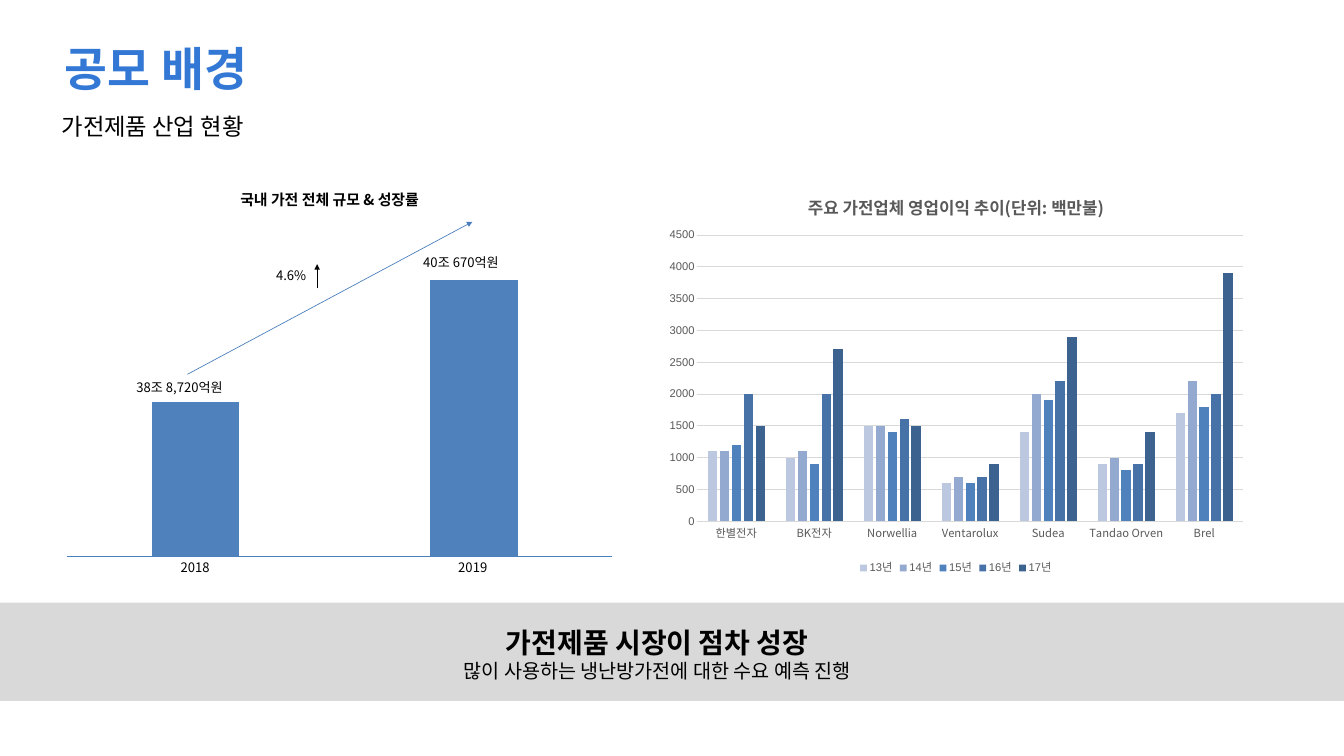
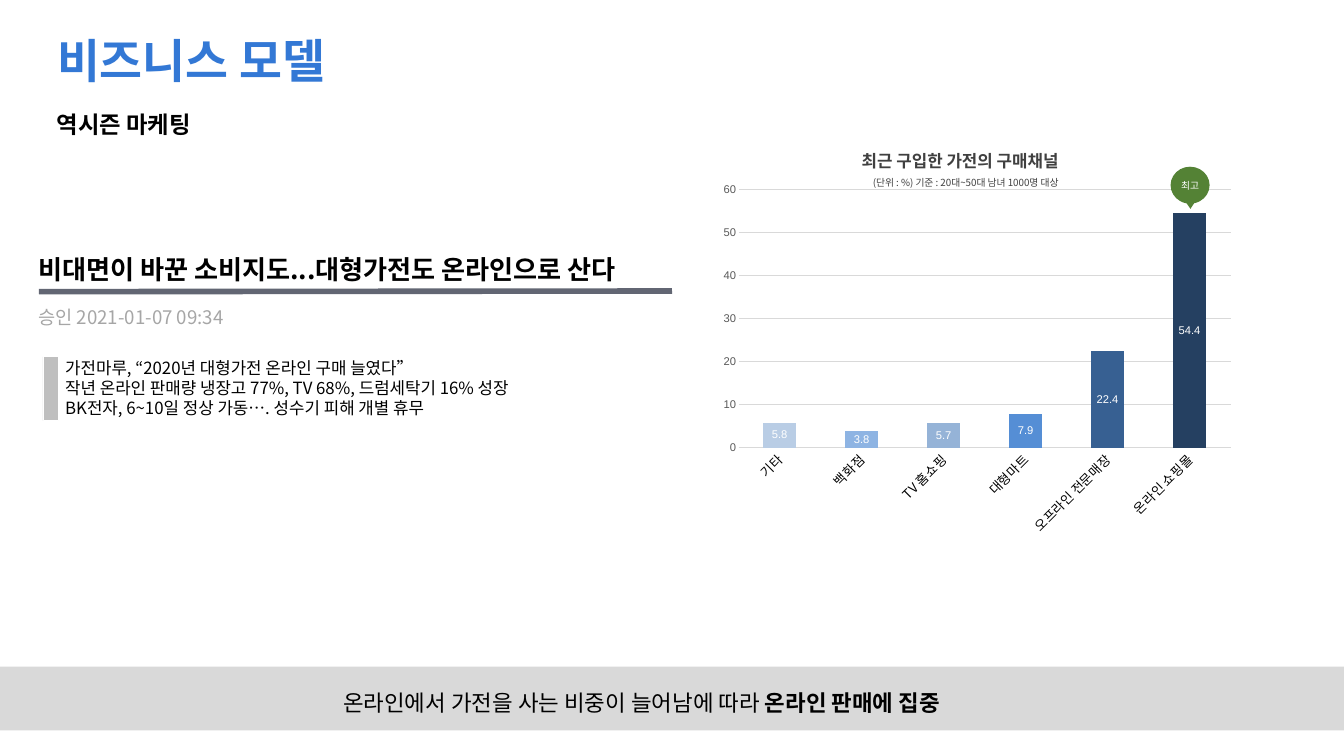
"""Build two slides on the home appliance market and the online sales model."""
from dataclasses import dataclass

from lxml.etree import SubElement
from pptx import Presentation
from pptx.chart.data import CategoryChartData as ChartData
from pptx.dml.color import RGBColor
from pptx.enum.chart import XL_CHART_TYPE as ChartType, XL_LABEL_POSITION as LabelPos
from pptx.enum.chart import XL_LEGEND_POSITION as LegendPos, XL_TICK_MARK as TickMark
from pptx.enum.shapes import MSO_CONNECTOR as Connector, MSO_SHAPE as Shape
from pptx.enum.text import MSO_ANCHOR as Anchor, PP_ALIGN as Align
from pptx.oxml.ns import qn
from pptx.util import Pt


@dataclass(frozen=True)
class Theme:
    face: str = "Noto Sans CJK KR"
    chart_face: str = "Arial"
    title: str = "3378D5"
    text: str = "000000"
    white: str = "FFFFFF"
    band: str = "D9D9D9"
    grid: str = "D9D9D9"
    axis: str = "595959"
    heading: str = "404040"
    muted: str = "A6A6A6"
    quote_bar: str = "BFBFBF"
    rule: str = "626673"
    bar: str = "4F81BD"
    trend: str = "4B7EBC"
    callout: str = "548235"
    title_size: float = 50
    headline_size: float = 28
    subtitle_size: float = 25
    body_size: float = 18
    label_size: float = 14
    axis_size: float = 12
    small_size: float = 10.5


theme = Theme()


def style_font(font, size, colour=theme.text, bold=False, face=theme.face):
    font.size, font.bold, font.name = Pt(size), bold, face
    font.color.rgb = RGBColor.from_string(colour)
    SubElement(font._element, qn("a:ea"), typeface=face)


def add_text(page, place, text, size=theme.label_size, colour=theme.text, bold=False,
             align=Align.LEFT, anchor=Anchor.TOP, inset=(7.2, 3.6), spacing=None,
             gap=0, kind=None, fill=None):
    place = [Pt(length) for length in place]
    if kind is None:
        box = page.shapes.add_textbox(*place)
    else:
        box = page.shapes.add_shape(kind, *place)
        box.shadow.inherit = False
        box.fill.solid()
        box.fill.fore_color.rgb = RGBColor.from_string(fill)
        box.line.fill.background()
    frame = box.text_frame
    frame.word_wrap, frame.vertical_anchor = True, anchor
    frame.margin_left = frame.margin_right = Pt(inset[0])
    frame.margin_top = frame.margin_bottom = Pt(inset[1])
    for index, spans in enumerate([text] if isinstance(text, str) else text):
        para = frame.add_paragraph() if index else frame.paragraphs[0]
        para.alignment = align
        if spacing:
            para.line_spacing = spacing
        if index and gap:
            para.space_before = Pt(gap)
        for words, changes in [(spans, {})] if isinstance(spans, str) else spans:
            span = para.add_run()
            span.text = words
            style_font(span.font, **{"size": size, "colour": colour, "bold": bold, **changes})
    return box


deck = Presentation()
deck.slide_width, deck.slide_height = Pt(1440), Pt(810)
market, model = [deck.slides.add_slide(deck.slide_layouts[6]) for _ in range(2)]

for page, top, height in [(market, 645.8, 105.1), (model, 714.2, 68.4)]:
    add_text(page, (0, top, 1440, height), [], kind=Shape.RECTANGLE, fill=theme.band)

makers = ["한별전자", "BK전자", "Norwellia", "Ventarolux", "Sudea", "Tandao Orven", "Brel"]
profits = {
    "13년": ("BCC8DF", [1100, 1000, 1500, 600, 1400, 900, 1700]),
    "14년": ("93A9CF", [1100, 1100, 1500, 700, 2000, 1000, 2200]),
    "15년": ("4F81BD", [1200, 900, 1400, 600, 1900, 800, 1800]),
    "16년": ("4672A8", [2000, 2000, 1600, 700, 2200, 900, 2000]),
    "17년": ("3C628F", [1500, 2700, 1500, 900, 2900, 1400, 3900]),
}
channels = ["기타", "백화점", "TV 홈쇼핑", "대형마트", "오프라인 전문매장", "온라인 쇼핑몰"]
shares = {"Series 1": ("4F6228", [5.8, 3.8, 5.7, 7.9, 22.4, 54.4])}
share_colours = ["B9CDE5", "8EB4E3", "95B3D7", "558ED5", "376092", "254061"]
sizes = {"Series 1": (theme.bar, [56, 100])}

charts = []
for page, kind, place, names, rows, gap, overlap, top, layout in [
    (market, ChartType.COLUMN_CLUSTERED, (704.2, 190.8, 640, 427), makers, profits,
     219, -27, 4500, (0.067, 0.143, 0.914, 0.718)),
    (market, ChartType.COLUMN_CLUSTERED, (33.1, 259.2, 640, 448.6), ["1", "2"], sizes,
     219, -27, 111, (0.042, 0.019, 0.933, 0.732)),
    (model, ChartType.COLUMN_STACKED, (763.9, 188.6, 565.9, 392.4), channels, shares,
     150, 100, 60, None),
]:
    data = ChartData()
    data.categories = names
    for name, (_, values) in rows.items():
        data.add_series(name, values)
    chart = page.shapes.add_chart(kind, *[Pt(length) for length in place], data).chart
    chart.has_title = chart.has_legend = False
    style_font(chart.font, 10, face=theme.chart_face)
    plot = chart.plots[0]
    plot.gap_width, plot.overlap, plot.vary_by_categories = gap, overlap, False
    for series, (colour, _) in zip(plot.series, rows.values()):
        series.format.fill.solid()
        series.format.fill.fore_color.rgb = RGBColor.from_string(colour)
    chart.value_axis.minimum_scale, chart.value_axis.maximum_scale = 0, top
    if layout:
        area = chart._chartSpace.chart.plotArea
        for old in area.findall(qn("c:layout")):
            area.remove(old)
        outer = SubElement(area, qn("c:layout"))
        area.insert(0, outer)
        manual = SubElement(outer, qn("c:manualLayout"))
        for tag, value in [("layoutTarget", "inner"), ("xMode", "edge"), ("yMode", "edge"),
                           *zip("xywh", layout)]:
            SubElement(manual, qn(f"c:{tag}"), val=str(value))
    charts.append(chart)
profit_chart, size_chart, share_chart = charts

size_chart.category_axis.visible = size_chart.value_axis.visible = False
size_chart.value_axis.has_major_gridlines = False

for chart, step, size, colour in [
    (profit_chart, 500, theme.axis_size, theme.axis),
    (share_chart, 10, theme.label_size, theme.text),
]:
    across, up = chart.category_axis, chart.value_axis
    up.major_unit = step
    style_font(across.tick_labels.font, size, colour)
    style_font(up.tick_labels.font, theme.axis_size, theme.axis, face=theme.chart_face)
    across.major_tick_mark = up.major_tick_mark = TickMark.NONE
    up.format.line.fill.background()
    for line in (across.format.line, up.major_gridlines.format.line):
        line.width = Pt(0.75)
        line.color.rgb = RGBColor.from_string(theme.grid)

profit_chart.has_title = True
span = profit_chart.chart_title.text_frame.paragraphs[0].add_run()
span.text = "주요 가전업체 영업이익 추이(단위: 백만불)"
style_font(span.font, theme.body_size, theme.axis, bold=True)
profit_chart.chart_title.include_in_layout = False
profit_chart.has_legend = True
profit_chart.legend.position = LegendPos.BOTTOM
profit_chart.legend.include_in_layout = False
style_font(profit_chart.legend.font, theme.axis_size, theme.axis, face=theme.chart_face)

share_chart.category_axis._element.find(qn("c:txPr")).find(qn("a:bodyPr")).set("rot", "-2700000")
share_plot = share_chart.plots[0]
for index, colour in enumerate(share_colours):
    fill = share_plot.series[0].points[index].format.fill
    fill.solid()
    fill.fore_color.rgb = RGBColor.from_string(colour)
share_plot.has_data_labels = True
labels = share_plot.data_labels
labels.show_value, labels.position = True, LabelPos.CENTER
style_font(labels.font, theme.axis_size, theme.white, face=theme.chart_face)

for page, ends, colour, width, arrow in [
    (market, (71.3, 596.2, 655.2, 596.2), theme.trend, 0.75, False),
    (market, (200.9, 401, 506.2, 237.6), theme.trend, 0.75, True),
    (market, (339.8, 308.9, 339.8, 283), theme.text, 0.75, True),
    (model, (41.8, 312.5, 720, 311.8), theme.rule, 6, False),
]:
    line = page.shapes.add_connector(Connector.STRAIGHT, *[Pt(length) for length in ends])
    line.line.width = Pt(width)
    line.line.color.rgb = RGBColor.from_string(colour)
    if arrow:
        SubElement(line.line._get_or_add_ln(), qn("a:tailEnd"), type="triangle")
    SubElement(line._element.spPr, qn("a:effectLst"))

for page, place, title, align in [
    (market, (46.8, 38.9, 240.5, 56.9), "공모 배경", Align.CENTER),
    (model, (54, 30.2, 759.6, 86.4), "비즈니스 모델", Align.JUSTIFY),
]:
    add_text(page, place, title, size=theme.title_size, colour=theme.title, bold=True, align=align)

add_text(market, (59, 113, 310.3, 44.6), "가전제품 산업 현황", size=theme.subtitle_size,
         anchor=Anchor.BOTTOM, inset=(7.2, 7.2))
add_text(market, (220.3, 200.9, 265.7, 26.6), "국내 가전 전체 규모 & 성장률", size=16,
         bold=True, align=Align.CENTER)
for left, top, width, words, align in [
    (139, 403.2, 143.3, "38조 8,720억원", Align.LEFT),
    (446.4, 268.6, 124.6, "40조 670억원", Align.LEFT),
    (288.7, 283, 95.8, "4.6%", Align.LEFT),
    (162.7, 596.2, 92.9, "2018", Align.CENTER),
    (460.1, 596.2, 92.9, "2019", Align.CENTER),
]:
    add_text(market, (left, top, width, 24.5), words, align=align)
add_text(market, (352.8, 663.1, 702.7, 76.3),
         [[("가전제품 시장이 점차 성장", {"size": 30, "bold": True})],
          "많이 사용하는 냉난방가전에 대한 수요 예측 진행"],
         size=21, align=Align.CENTER, inset=(7.2, 7.2))

add_text(model, (54, 114.5, 694.1, 35.3), "역시즌 마케팅", size=theme.subtitle_size, bold=True)
add_text(model, (36, 266.4, 808.6, 92.2),
         [[("비대면이 바꾼 소비지도...대형가전도 온라인으로 산다",
            {"size": theme.headline_size, "colour": theme.text, "bold": True})],
          "승인 2021-01-07 09:34"],
         size=20, colour=theme.muted, inset=(5, 5), gap=23)
quote_bar = add_text(model, (46.1, 382.3, 16.6, 68.4), [], kind=Shape.RECTANGLE,
                     fill=theme.quote_bar)
quote_bar.line.width = Pt(0.75)
quote_bar.line.color.rgb = RGBColor.from_string(theme.white)
add_text(model, (64.8, 378, 627.1, 74.9),
         ["가전마루, “2020년 대형가전 온라인 구매 늘였다”",
          "작년 온라인 판매량 냉장고 77%, TV 68%, 드럼세탁기 16% 성장",
          "BK전자, 6~10일 정상 가동…. 성수기 피해 개별 휴무"],
         size=theme.body_size, inset=(5, 5))
add_text(model, (889.9, 146.9, 251.3, 56.9),
         [[("최근 구입한 가전의 구매채널", {"size": theme.body_size, "bold": True})],
          "(단위 : %) 기준 : 20대~50대 남녀 1000명 대상"],
         size=theme.small_size, colour=theme.heading, align=Align.RIGHT, spacing=1.5)
callout = add_text(model, (1254.2, 178.6, 41.8, 39.6), "최고", size=theme.small_size,
                   colour=theme.white, align=Align.CENTER, anchor=Anchor.MIDDLE, inset=(0, 3.6),
                   kind=Shape.OVAL_CALLOUT, fill=theme.callout)
callout.adjustments[0], callout.adjustments[1] = 0.01, 0.64
add_text(model, (64.8, 733.7, 1250.6, 38.9),
         [[("온라인에서 가전을 사는 비중이 늘어남에 따라 ", {}),
           ("온라인 판매에 집중 ", {"bold": True})]],
         size=24, align=Align.CENTER, inset=(5, 5))

deck.save("out.pptx")
